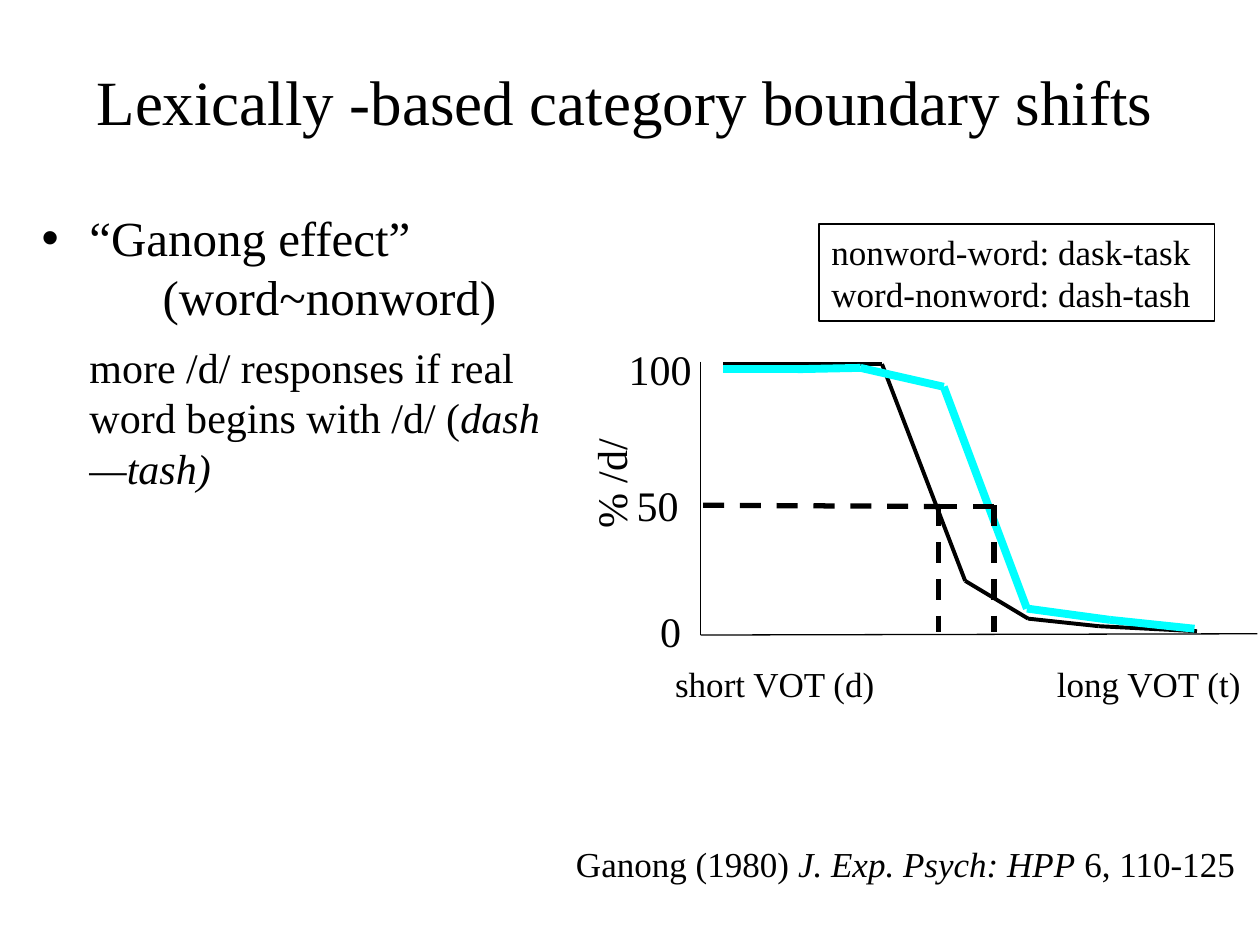
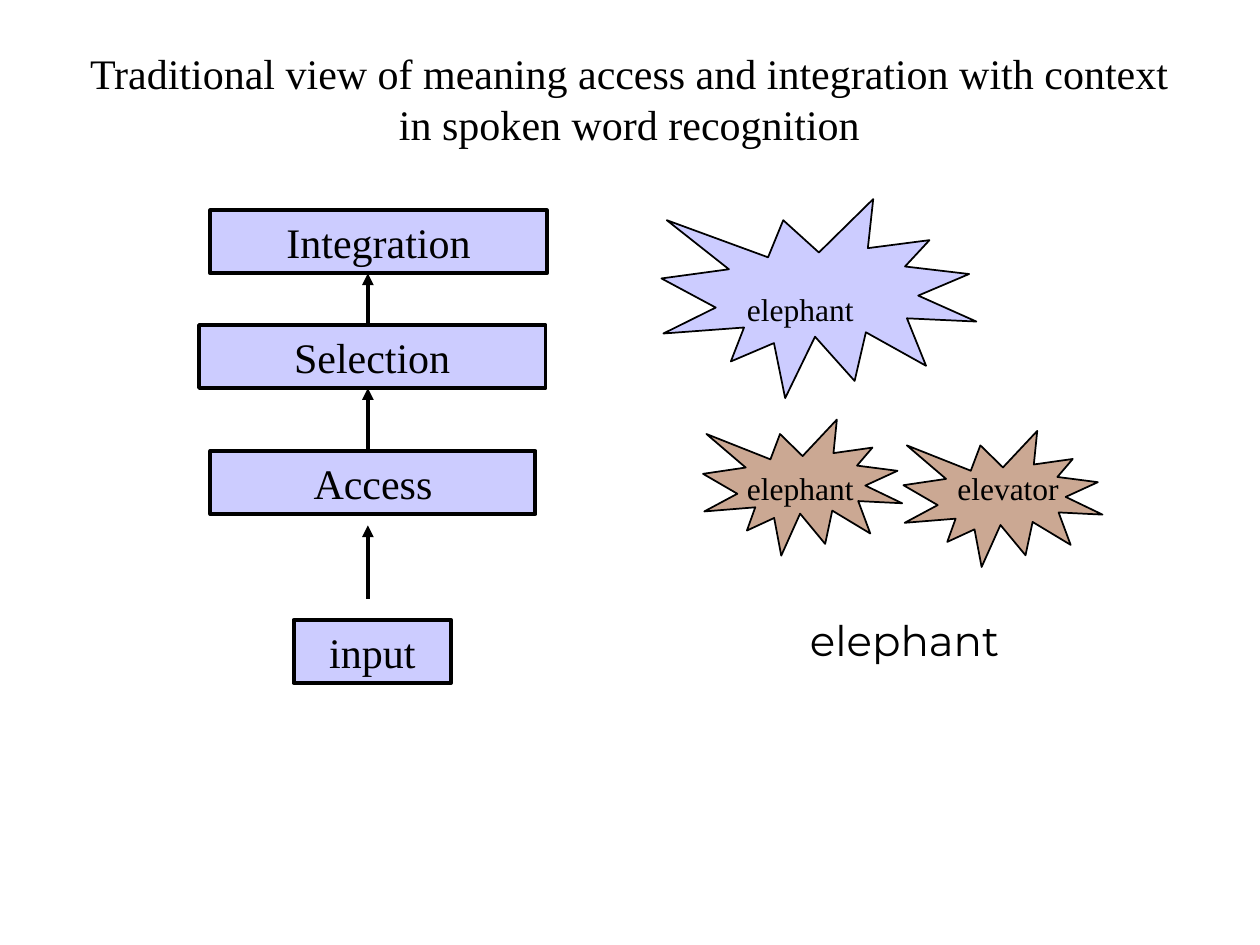
from itertools import pairwise

from lxml import etree
from pptx import Presentation
from pptx import util as u
from pptx.dml.color import RGBColor
from pptx.enum import dml, shapes, text
from pptx.oxml.ns import qn

COLORS = {
    "ink": "000000",
    "stage": "CCCCFF",
    "candidate": "CBA893",
    "lexical_shift": "00FFFF",
    "text_shadow": "B2B2B2",
}
FONT = "Times New Roman"
CENTER, RIGHT = text.PP_ALIGN.CENTER, text.PP_ALIGN.RIGHT
TOP, MIDDLE, BOTTOM = (text.MSO_ANCHOR.TOP, text.MSO_ANCHOR.MIDDLE,
                       text.MSO_ANCHOR.BOTTOM)


def color(name):
    return RGBColor.from_string(COLORS[name])


def apply(target, values):
    for name, value in values.items():
        setattr(target, name, value)


def sub(parent, tag, **attributes):
    return etree.SubElement(parent, qn(tag), attributes)


class Deck:
    def __init__(self):
        self.prs = Presentation()
        self.prs.slide_width, self.prs.slide_height = u.Inches(10), u.Inches(7.5)
        self.slide = None

    def new_slide(self, layout):
        self.slide = self.prs.slides.add_slide(self.prs.slide_layouts[layout])

    def place(self, shape, box):
        names = ("left", "top", "width", "height")
        apply(shape, dict(zip(names, map(u.Inches, box))))

    def fill_text(self, shape, paragraphs, anchor=TOP, wrap=True, **shared):
        """Fill a shape; each paragraph is (runs, format), a run (text, italic)."""
        frame = shape.text_frame
        apply(frame, {"auto_size": text.MSO_AUTO_SIZE.NONE, "word_wrap": wrap,
                      "vertical_anchor": anchor})
        for index, (runs, own) in enumerate(paragraphs):
            paragraph = frame.paragraphs[0] if index == 0 else frame.add_paragraph()
            self.format_paragraph(paragraph, **{**shared, **own})
            for words, italic in runs:
                run = paragraph.add_run()
                run.text = words
                run.font.italic = italic

    def format_paragraph(self, paragraph, size=24, font=FONT, align=None,
                         before=0, indent=None, bullet=None, tab=None):
        apply(paragraph, {"alignment": align, "space_before": u.Pt(before)})
        props = paragraph._p.get_or_add_pPr()
        if indent:
            left, first = indent
            props.set("marL", str(u.Inches(left)))
            props.set("indent", str(u.Inches(first)))
        if bullet:
            sub(props, "a:buChar", char=bullet)
        elif indent:
            sub(props, "a:buNone")
        if tab:
            stops = sub(props, "a:tabLst")
            sub(stops, "a:tab", pos=str(u.Inches(tab)), algn="l")
        apply(paragraph.font, {"size": u.Pt(size), "name": font})
        paragraph.font.color.rgb = color("ink")

    def title(self, box, words, size, anchor, shadow=False):
        heading = self.slide.shapes.title
        self.place(heading, box)
        self.fill_text(heading, [([(words, None)], {})], anchor,
                       size=size, align=CENTER)
        if shadow:
            props = heading.text_frame.paragraphs[0].runs[0]._r.get_or_add_rPr()
            effects = sub(props, "a:effectLst")
            outer = sub(effects, "a:outerShdw", dist="25400", dir="2700000")
            sub(outer, "a:srgbClr", val=COLORS["text_shadow"])

    def body(self, box, paragraphs):
        points = self.slide.placeholders[1]
        self.place(points, box)
        self.fill_text(points, paragraphs)

    def label(self, box, words, rotation=0, **style):
        note = self.slide.shapes.add_textbox(*map(u.Inches, box))
        note.rotation = rotation
        runs = [(words, None)] if isinstance(words, str) else words
        self.fill_text(note, [(runs, {})], **style)

    def shape(self, kind, box, lines=(), fill=None, weight=1.0, **style):
        figure = self.slide.shapes.add_shape(kind, *map(u.Inches, box))
        figure.shadow.inherit = False
        if fill:
            figure.fill.solid()
            figure.fill.fore_color.rgb = color(fill)
        else:
            figure.fill.background()
        figure.line.color.rgb = color("ink")
        figure.line.width = u.Pt(weight)
        if lines:
            style = {"align": text.PP_ALIGN.LEFT, **style}
            self.fill_text(figure, [([(line, None)], {}) for line in lines], **style)

    def trace(self, points, weight, stroke="ink", dashed=False, arrow=False):
        """Join successive points with straight connectors."""
        for start, end in pairwise(points):
            segment = self.slide.shapes.add_connector(
                shapes.MSO_CONNECTOR.STRAIGHT, *map(u.Inches, start + end))
            segment.line.color.rgb = color(stroke)
            segment.line.width = u.Pt(weight)
            if dashed:
                segment.line.dash_style = dml.MSO_LINE.DASH
            props = segment._element.spPr
            if arrow:
                sub(props.find(qn("a:ln")), "a:tailEnd", type="triangle")
            sub(props, "a:effectLst")


def boundary_shift_slide(deck):
    deck.new_slide(1)
    deck.title((0.42, 0.17, 9.08, 1.25),
               "Lexically -based category boundary shifts", 36, MIDDLE)
    deck.body((0.23, 1.6, 4.37, 4.79), [
        ([("“Ganong effect”", None)],
         {"size": 28, "indent": (0.38, -0.38), "bullet": "•"}),
        ([("(word~nonword)", None)], {"size": 28, "indent": (0.96, 0)}),
        ([("more /d/ responses if real word begins with /d/ (", None),
          ("dash—tash)", True)], {"indent": (0.38, 0), "before": 9}),
    ])

    deck.label((5.26, 5.21, 4.93, 0.44), "short VOT (d)\tlong VOT (t)",
               size=20, tab=3.03)
    deck.label((4.37, 3.57, 0.95, 0.5), "% /d/", rotation=270)
    deck.label((4.89, 2.68, 0.7, 0.5), "100", wrap=False)
    deck.label((4.93, 3.76, 0.58, 0.5), "50", align=CENTER)
    deck.label((5.14, 4.76, 0.36, 0.5), "0", wrap=False)

    axes = [(5.56, 2.87), (5.56, 5.04), (9.98, 5.03)]
    nonword_word = [(5.74, 2.89), (6.33, 2.89), (7, 2.89), (7.66, 4.61),
                    (8.16, 4.91), (8.72, 4.97), (9.5, 5.01)]
    word_nonword = [(5.74, 2.93), (6.33, 2.93), (6.83, 2.92), (7.49, 3.07),
                    (8.15, 4.83), (8.81, 4.92), (9.48, 4.99)]
    deck.trace(axes, 0.75)
    deck.trace(nonword_word, 2.25)
    deck.trace(word_nonword, 4.5, "lexical_shift")
    deck.trace([(5.58, 4.01), (7.46, 4.02)], 3, dashed=True)
    deck.trace([(7.89, 4.02), (7.46, 4.02)], 3, dashed=True)
    for boundary in (7.45, 7.89):
        deck.trace([(boundary, 4.01), (boundary, 5.02)], 3, dashed=True)

    deck.label((1.22, 6.23, 8.68, 0.84),
               [("Ganong (1980) ", None), ("J. Exp. Psych: HPP", True),
                (" 6, 110-125", None)], size=20, align=RIGHT, anchor=BOTTOM)
    deck.shape(shapes.MSO_SHAPE.RECTANGLE, (6.5, 1.78, 3.14, 0.77),
               ["nonword-word: dask-task", "word-nonword: dash-tash"], size=20)


def meaning_access_slide(deck):
    deck.new_slide(5)
    deck.title((0.58, 0.33, 8.83, 0.9),
               "Traditional view of meaning access and integration with context "
               "in spoken word recognition", 24, TOP, shadow=True)

    stages = [("input", 2.33, 4.92, 1.25), ("Access", 1.67, 3.58, 2.58),
              ("Selection", 1.58, 2.58, 2.75), ("Integration", 1.67, 1.67, 2.67)]
    for stage, left, top, width in stages:
        deck.shape(shapes.MSO_SHAPE.RECTANGLE, (left, top, width, 0.5), [stage],
                   fill="stage", weight=2.25, align=CENTER)
    for start, end in [(4.75, 4.17), (3.58, 3.08), (2.58, 2.17)]:
        deck.trace([(2.92, start), (2.92, end)], 2.25, arrow=True)

    bursts = [((7.17, 3.42, 1.58, 1.08), "candidate"),
              ((5.58, 3.33, 1.58, 1.08), "candidate"),
              ((5.25, 1.58, 2.5, 1.58), "stage")]
    for box, fill in bursts:
        deck.shape(shapes.MSO_SHAPE.EXPLOSION1, box, fill=fill)
    for word, left, top in [("elephant", 5.83, 3.67), ("elevator", 7.5, 3.67),
                            ("elephant", 5.83, 2.25)]:
        deck.label((left, top, 1.08, 0.4), word, size=18)
    deck.label((6.33, 4.83, 2.39, 1.09), "elephant", font="Montserrat", wrap=False)


def main():
    deck = Deck()
    boundary_shift_slide(deck)
    meaning_access_slide(deck)
    deck.prs.save("out.pptx")


if __name__ == "__main__":
    main()
